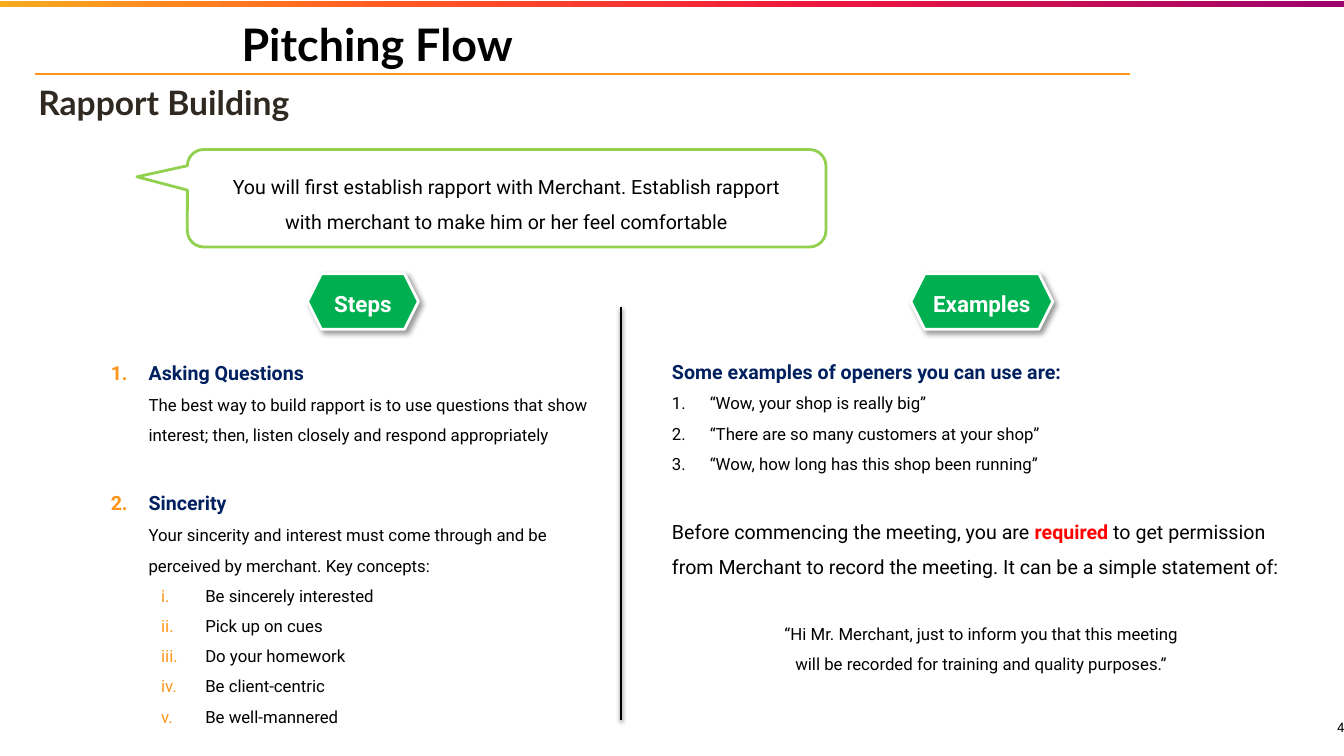
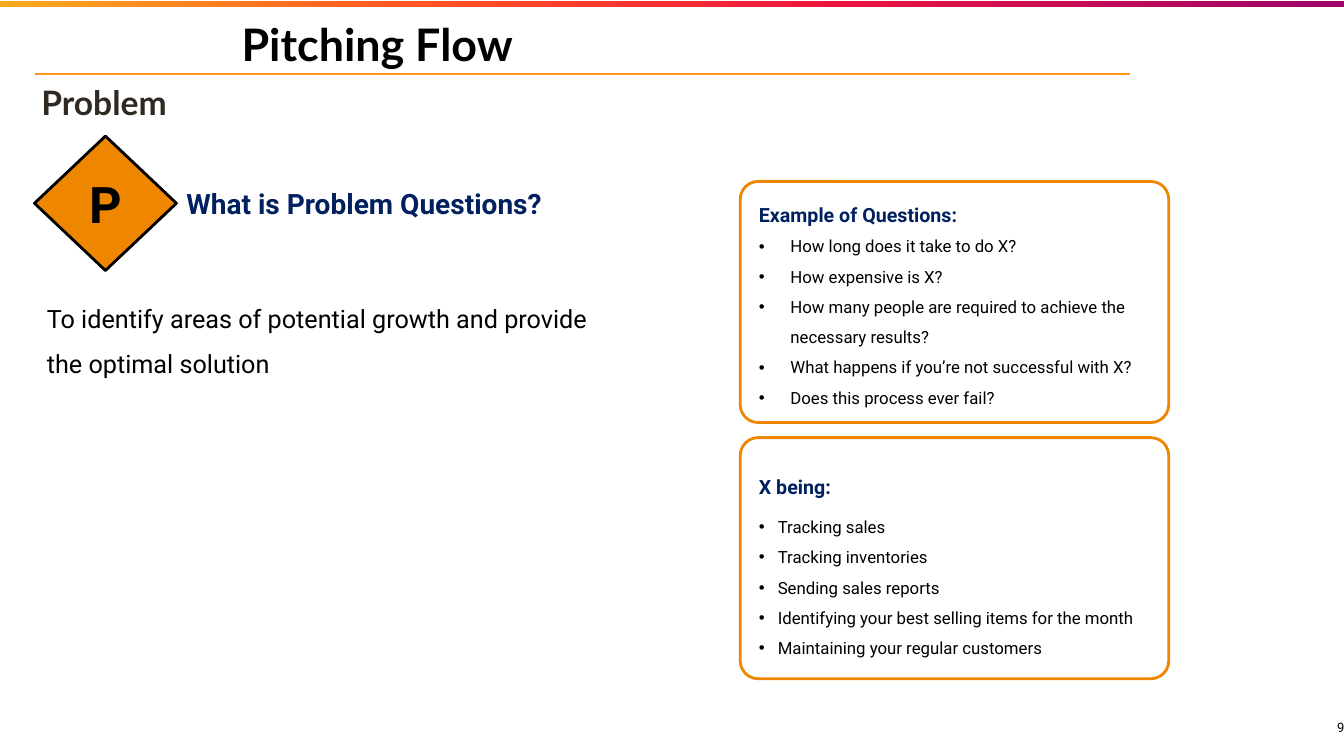
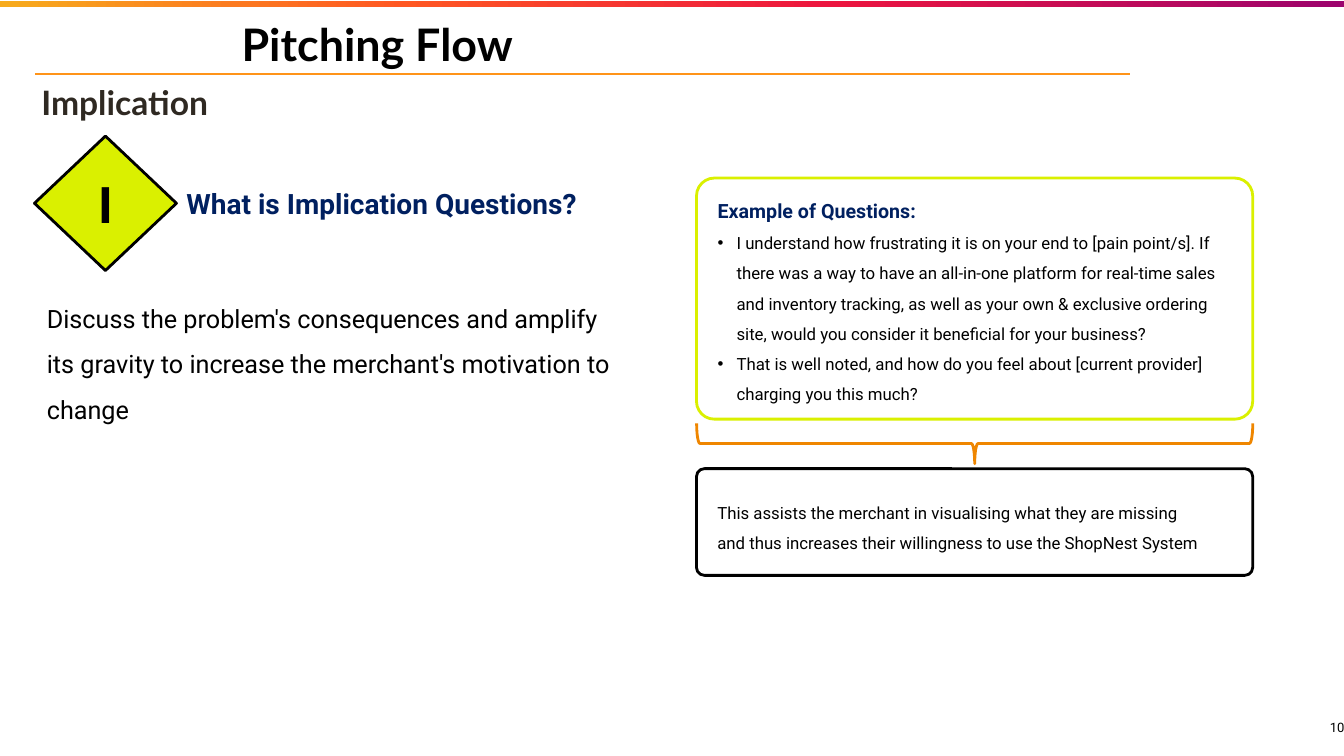
"""Build three slides of a sales pitching guide."""
from dataclasses import dataclass
from typing import NamedTuple, Optional

from lxml.etree import SubElement
from pptx import Presentation
from pptx.dml.color import RGBColor
from pptx.enum.shapes import MSO_CONNECTOR, MSO_SHAPE
from pptx.enum.text import MSO_ANCHOR, PP_ALIGN
from pptx.oxml import parse_xml
from pptx.oxml.ns import nsdecls, qn
from pptx.util import Emu, Inches, Pt

WIDE, HIGH = Inches(13.33), Inches(7.5)
ROWS = 90
CELL = HIGH / ROWS
COLS = 160

BLACK = RGBColor(0x00, 0x00, 0x00)
WHITE = RGBColor(0xFF, 0xFF, 0xFF)
NAVY = RGBColor(0x00, 0x20, 0x60)
RED = RGBColor(0xFF, 0x00, 0x00)
BROWN = RGBColor(0x2F, 0x29, 0x22)
AMBER = RGBColor(0xFF, 0x94, 0x19)
ORANGE = RGBColor(0xEF, 0x86, 0x00)
LIME = RGBColor(0xDA, 0xF0, 0x00)
LEAF = RGBColor(0x92, 0xD0, 0x50)
GREEN = RGBColor(0x00, 0xB0, 0x50)
BLEND = ((0, RGBColor(0xF7, 0xAB, 0x1D)), (30, RGBColor(0xFF, 0x57, 0x22)),
         (62, RGBColor(0xEC, 0x15, 0x3F)), (100, RGBColor(0x9C, 0x03, 0x6D)))


class Box(NamedTuple):
    """A place on the grid, in cells."""
    x: float
    y: float
    w: float
    h: float


class Pad(NamedTuple):
    """Text margins, in cells."""
    left: float = 1.2
    top: float = 0.6
    right: float = 1.2
    base: float = 0.6


class Style(NamedTuple):
    """The look of some text."""
    size: float
    color: RGBColor = BLACK
    bold: bool = False
    face: str = "Roboto"


class Span(NamedTuple):
    """Text with its own look inside a paragraph."""
    text: str
    style: Style
    fresh: bool = False


class Mark(NamedTuple):
    """A bullet or number and its indent, in cells."""
    sign: str
    left: float
    hang: float
    color: RGBColor = BLACK
    level: int = 0


class Shade(NamedTuple):
    """A drop shadow: points, percent and degrees."""
    alpha: int
    blur: float
    dist: float
    angle: int


@dataclass
class Para:
    """One paragraph: plain text, or spans."""
    text: str
    style: Style
    mark: Optional[Mark] = None
    spans: tuple[Span, ...] = ()
    gap: float = 0
    align: PP_ALIGN = PP_ALIGN.LEFT
    pitch: float = 1.5


@dataclass
class Form:
    """The look of a shape."""
    kind: MSO_SHAPE
    line: Optional[RGBColor] = None
    fill: Optional[RGBColor] = None
    bends: tuple[float, ...] = ()
    turn: float = 0
    shade: Optional[Shade] = None


TITLE = Style(32, BLACK, True, "Lato")
TOPIC = Style(24, BROWN, True, "Lato")
ASK = Style(20, NAVY, True)
HEAD = Style(14, NAVY, True)
LEAD = Style(18)
BODY = Style(14)
ITEM = Style(12)
LABEL = Style(16, WHITE, True)
SIGN = Style(36, BLACK, True)
PAGE = Style(9.3)

BLANK = 24.6
NONE = Pad(0, 0, 0, 0)
SLIM = Pad(0.36, 0.36, 0.36, 0.36)
EVEN = Pad(1.2, 1.2, 1.2, 1.2)
STEP = Mark("arabicPeriod", 4.5, 4.5, AMBER)
POINT = Mark("romanLcPeriod", 11.25, 5.25, AMBER, 1)
COUNT = Mark("arabicPeriod", 4.5, 4.5)
DOT = Mark("•", 2.25, 2.25)
FAR = Mark("•", 3.75, 3.75)


def cell(count: float) -> Emu:
    """Turn grid cells into a length."""
    return Emu(round(count * CELL))


def paint(font, style: Style) -> None:
    """Give a font its look."""
    font.name, font.size, font.bold = style.face, Pt(style.size), style.bold
    font.color.rgb = style.color


def tag(para, mark: Mark) -> None:
    """Add a bullet or number to a paragraph."""
    props = para._p.get_or_add_pPr()
    props.set("marL", str(cell(mark.left)))
    props.set("indent", str(-cell(mark.hang)))
    tint = SubElement(props, qn("a:buClr"))
    SubElement(tint, qn("a:srgbClr"), val=str(mark.color))
    if len(mark.sign) == 1:
        SubElement(props, qn("a:buFont"), typeface="Arial")
        SubElement(props, qn("a:buChar"), char=mark.sign)
    else:
        SubElement(props, qn("a:buAutoNum"), type=mark.sign)
    para.level = mark.level


def write(frame, paras: list[Para], pad: Pad, anchor: MSO_ANCHOR, wrap: bool) -> None:
    """Fill a text frame."""
    frame.word_wrap, frame.vertical_anchor = wrap, anchor
    frame.margin_left, frame.margin_top = cell(pad.left), cell(pad.top)
    frame.margin_right, frame.margin_bottom = cell(pad.right), cell(pad.base)
    for i, item in enumerate(paras):
        para = frame.add_paragraph() if i else frame.paragraphs[0]
        if item.mark:
            tag(para, item.mark)
        para.alignment, para.line_spacing = item.align, item.pitch
        if item.gap:
            para.space_before = Pt(item.gap)
        paint(para.font, item.style)
        if item.text:
            para.add_run().text = item.text
        for span in item.spans:
            if span.fresh:
                para.add_line_break()
            run = para.add_run()
            run.text = span.text
            paint(run.font, span.style)


def note(slide, box: Box, paras: list[Para], pad: Pad = Pad(),
         anchor: MSO_ANCHOR = MSO_ANCHOR.TOP) -> None:
    """Add a text box."""
    area = slide.shapes.add_textbox(*map(cell, box))
    write(area.text_frame, paras, pad, anchor, True)


def cast(effects, shade: Shade) -> None:
    """Add a drop shadow to an effect list."""
    drop = SubElement(effects, qn("a:outerShdw"), blurRad=str(Pt(shade.blur)),
                      dist=str(Pt(shade.dist)), dir=str(shade.angle * 60000),
                      algn="tl", rotWithShape="0")
    tint = SubElement(drop, qn("a:srgbClr"), val=str(BLACK))
    SubElement(tint, qn("a:alpha"), val=str(shade.alpha * 1000))


def draw(slide, box: Box, form: Form, paras: Optional[list[Para]] = None, pad: Pad = NONE,
         anchor: MSO_ANCHOR = MSO_ANCHOR.MIDDLE, wrap: bool = True):
    """Add a shape, with text if there is any."""
    shape = slide.shapes.add_shape(form.kind, *map(cell, box))
    shape.shadow.inherit = False
    shape.rotation = form.turn
    for i, bend in enumerate(form.bends):
        shape.adjustments[i] = bend
    if form.fill is None:
        shape.fill.background()
    else:
        shape.fill.solid()
        shape.fill.fore_color.rgb = form.fill
    if form.line is None:
        shape.line.fill.background()
    else:
        shape.line.color.rgb, shape.line.width = form.line, Pt(2)
    if form.shade:
        cast(shape._element.spPr.find(qn("a:effectLst")), form.shade)
    if paras:
        write(shape.text_frame, paras, pad, anchor, wrap)
    return shape


def rule(slide, start: tuple[float, float], end: tuple[float, float], color: RGBColor,
         width: float, shade: Optional[Shade] = None) -> None:
    """Add a straight line."""
    line = slide.shapes.add_connector(MSO_CONNECTOR.STRAIGHT, *map(cell, start + end))
    line.line.color.rgb, line.line.width = color, Pt(width)
    effects = SubElement(line._element.spPr, qn("a:effectLst"))
    if shade:
        cast(effects, shade)


def band(slide) -> None:
    """Add the blended bar along the top edge."""
    bar = draw(slide, Box(0, 0.1, COLS, 0.72), Form(MSO_SHAPE.RECTANGLE))
    stops = "".join(f'<a:gs pos="{at * 1000}"><a:srgbClr val="{color}"/></a:gs>'
                    for at, color in BLEND)
    blend = parse_xml(f'<a:gradFill {nsdecls("a")}><a:gsLst>{stops}</a:gsLst>'
                      '<a:lin ang="0" scaled="0"/></a:gradFill>')
    props = bar._element.spPr
    props.replace(props.find(qn("a:noFill")), blend)


def start(deck, topic: str, page: int, left: float = 4.56, top: float = 9.8):
    """Add a slide with the shared title, lines and page number."""
    slide = deck.slides.add_slide(deck.slide_layouts[6])
    rule(slide, (4.2, 8.82), (134.5, 8.82), AMBER, 1.5)
    band(slide)
    mid = MSO_ANCHOR.MIDDLE
    note(slide, Box(left, top, 100, 4.8), [Para(topic, TOPIC, pitch=1)], SLIM, mid)
    note(slide, Box(28.4, 0.6, 101.5, 9.2), [Para("Pitching Flow", TITLE, pitch=1)], SLIM, mid)
    note(slide, Box(150.4, 83.2, 9.6, 6.8),
         [Para(str(page), PAGE, align=PP_ALIGN.RIGHT, pitch=1)], NONE, mid)
    return slide


def center(text: str, style: Style, pitch: float = 1, gap: float = 0) -> Para:
    """Make a centred paragraph."""
    return Para(text, style, align=PP_ALIGN.CENTER, pitch=pitch, gap=gap)


def items(mark: Mark, *texts: str) -> list[Para]:
    """Make marked list items."""
    return [Para(text, ITEM, mark) for text in texts]


def step(head: str, text: str, gap: float = 0) -> Para:
    """Make a numbered step with its text below the heading."""
    return Para("", HEAD, STEP, (Span(head, HEAD), Span(text, ITEM, True)), gap)


def card(slide, box: Box, color: RGBColor, paras: list[Para], pad: Pad) -> None:
    """Add a rounded frame with text."""
    draw(slide, box, Form(MSO_SHAPE.ROUNDED_RECTANGLE, color, bends=(0.074,)),
         paras, pad, MSO_ANCHOR.TOP)


def intro(slide, sign: str, color: RGBColor, ask: str, text: str) -> None:
    """Add the lettered diamond, its question and the answer."""
    draw(slide, Box(4.1, 16.2, 16.9, 16), Form(MSO_SHAPE.DIAMOND, BLACK, color),
         [center(sign, SIGN)])
    note(slide, Box(21, 21.6, 55, 5.3), [Para(ask, ASK, pitch=1)])
    note(slide, Box(4.4, 33.7, 69.6, 17), [Para(text, LEAD)])


def rapport(deck) -> None:
    """Build the rapport slide."""
    slide = start(deck, "Rapport Building", 4, 4.2, 9.7)
    bubble = Form(MSO_SHAPE.ROUNDED_RECTANGULAR_CALLOUT, LEAF, WHITE, (-0.579, -0.22, 0.167))
    draw(slide, Box(22.3, 17.8, 76, 11.6), bubble,
         [center("You will first establish rapport with Merchant. Establish rapport "
                 "with merchant to make him or her feel comfortable", BODY, 1.5)],
         Pad(4.7, 1, 4.7, 0), MSO_ANCHOR.TOP)
    badge = Form(MSO_SHAPE.HEXAGON, WHITE, GREEN, (0.25,), shade=Shade(40, 4, 3, 45))
    for text, left, width in (("Steps", 36.6, 13.2), ("Examples", 108.4, 16.9)):
        draw(slide, Box(left, 32.6, width, 6.6), badge, [center(text, LABEL)],
             Pad(0, 0.5, 0, 0), wrap=False)
    rule(slide, (73.9, 36.5), (73.9, 85.7), BLACK, 2, Shade(38, 3.1, 1.6, 90))
    note(slide, Box(12, 40.4, 62, 47.9), [
        step("Asking Questions", "The best way to build rapport is to use questions that show "
             "interest; then, listen closely and respond appropriately"),
        step("Sincerity", "Your sincerity and interest must come through and be "
             "perceived by merchant. Key concepts:", BLANK),
        *items(POINT, "Be sincerely interested", "Pick up on cues", "Do your homework",
               "Be client-centric", "Be well-mannered")], EVEN)
    note(slide, Box(78.8, 40.2, 76, 47.9), [
        Para("Some examples of openers you can use are:", HEAD),
        *items(COUNT, "“Wow, your shop is really big”",
               "“There are so many customers at your shop”",
               "“Wow, how long has this shop been running”"),
        Para("", BODY, gap=BLANK, spans=(
            Span("Before commencing the meeting, you are ", BODY),
            Span("required", Style(14, RED, True)),
            Span(" to get permission from Merchant to record the meeting. "
                 "It can be a simple statement of:", BODY))),
        center("“Hi Mr. Merchant, just to inform you that this meeting", ITEM, 1.5, BLANK),
        center("will be recorded for training and quality purposes.”", ITEM, 1.5)], EVEN)


def problem(deck) -> None:
    """Build the problem slide."""
    slide = start(deck, "Problem", 9)
    intro(slide, "P", ORANGE, "What is Problem Questions?",
          "To identify areas of potential growth and provide the optimal solution")
    card(slide, Box(88.1, 21.6, 51, 28.7), ORANGE, [
        Para("Example of Questions:", HEAD),
        *items(FAR, "How long does it take to do X?", "How expensive is X?",
               "How many people are required to achieve the necessary results?",
               "What happens if you’re not successful with X?",
               "Does this process ever fail?")], Pad(1.6, 0.5, 2.4, 0))
    goods = items(DOT, "Tracking sales", "Tracking inventories", "Sending sales reports",
                  "Identifying your best selling items for the month",
                  "Maintaining your regular customers")
    goods[0].gap = 6
    card(slide, Box(88.1, 52.1, 51, 28.7), ORANGE,
         [Para("X being:", HEAD), *goods], Pad(1.6, 2.4, 2.4, 0))


def impact(deck) -> None:
    """Build the implication slide."""
    slide = start(deck, "Implication", 10)
    intro(slide, "I", LIME, "What is Implication Questions?",
          "Discuss the problem's consequences and amplify its gravity to increase "
          "the merchant's motivation to change")
    card(slide, Box(82.9, 21.2, 66.2, 28.7), LIME, [
        Para("Example of Questions:", HEAD),
        *items(DOT, "I understand how frustrating it is on your end to [pain point/s]. If there "
               "was a way to have an all-in-one platform for real-time sales and inventory "
               "tracking, as well as your own & exclusive ordering site, would you consider "
               "it beneficial for your business?",
               "That is well noted, and how do you feel about [current provider] "
               "charging you this much?")], Pad(1.9, 0.5, 3.6, 0))
    card(slide, Box(82.9, 55.8, 66.2, 12.7), BLACK, [
        Para("This assists the merchant in visualising what they are missing and thus "
             "increases their willingness to use the ShopNest System", ITEM)],
         Pad(2.2, 2.6, 6, 0))
    draw(slide, Box(113.6, 19.7, 4.8, 66.2),
         Form(MSO_SHAPE.RIGHT_BRACE, ORANGE, bends=(0.083, 0.5), turn=90))


def main() -> None:
    """Build and save the deck."""
    deck = Presentation()
    deck.slide_width, deck.slide_height = WIDE, HIGH
    for build in (rapport, problem, impact):
        build(deck)
    deck.save("out.pptx")


if __name__ == "__main__":
    main()
